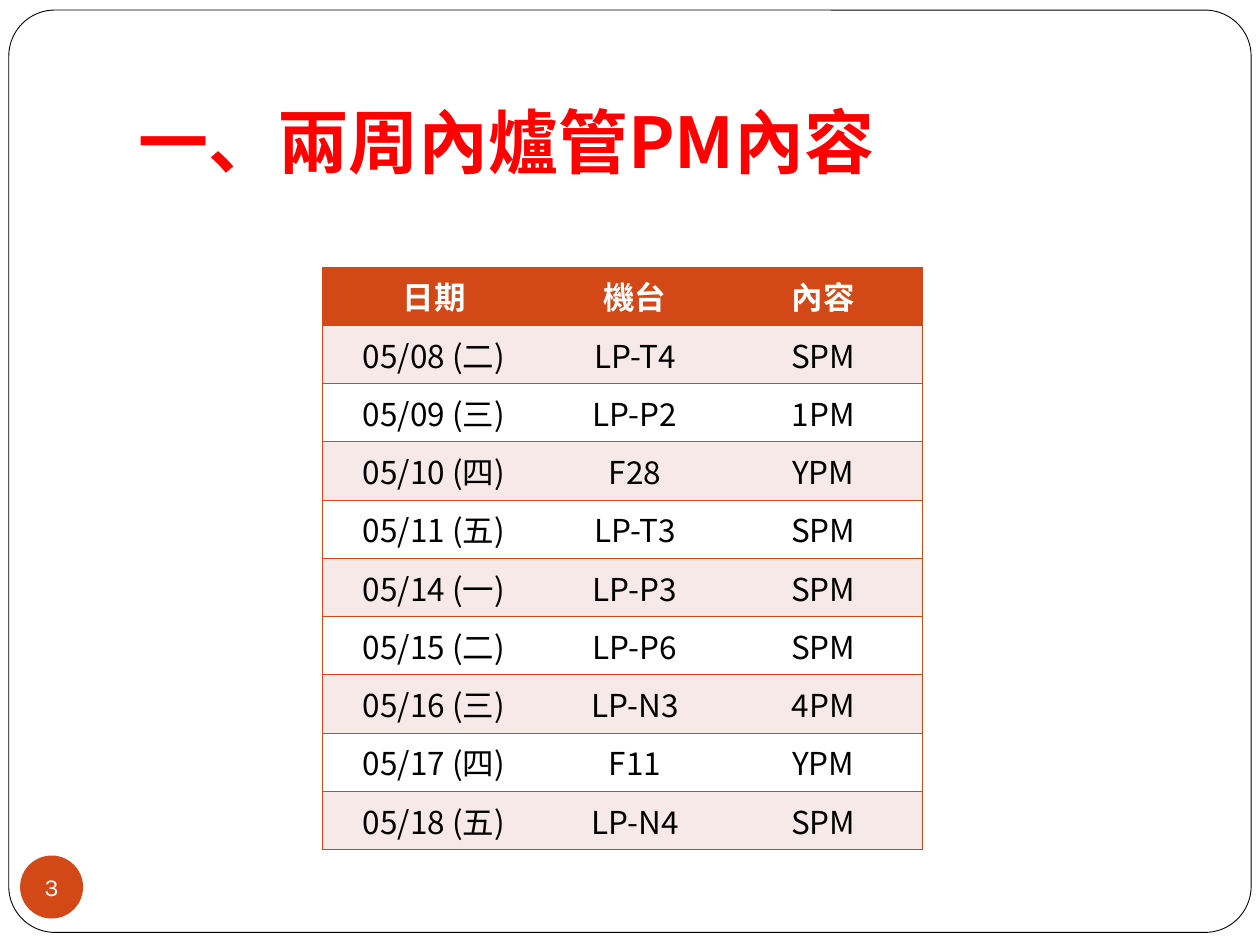
"""Build the furnace-tube PM schedule slide."""
from typing import NamedTuple

import pptx
import pptx.dml.color
import pptx.enum.shapes
import pptx.enum.text
import pptx.oxml.ns
import pptx.util
from lxml import etree

WIDTH, HEIGHT = 10, 7.5
COLORS = {"accent": "D34817", "band": "F7E9E7", "white": "FFFFFF",
          "black": "000000", "title": "FF0000"}
CJK = "Noto Sans CJK SC"
HEADINGS = ("日期", "機台", "內容")
COLUMN_WIDTHS = (1.77, 1.42, 1.57)
TABLE_HEIGHT = 4.06


class Box(NamedTuple):
    left: float
    top: float
    width: float
    height: float

    def emu(self) -> list[int]:
        return [pptx.util.Inches(length) for length in self]


class Style(NamedTuple):
    size: int
    color: str
    bold: bool = False
    font: str = CJK


class Maintenance(NamedTuple):
    date: str
    machine: str
    content: str


SCHEDULE = (
    Maintenance("05/08 (二)", "LP-T4", "SPM"),
    Maintenance("05/09 (三)", "LP-P2", "1PM"),
    Maintenance("05/10 (四)", "F28", "YPM"),
    Maintenance("05/11 (五)", "LP-T3", "SPM"),
    Maintenance("05/14 (一)", "LP-P3", "SPM"),
    Maintenance("05/15 (二)", "LP-P6", "SPM"),
    Maintenance("05/16 (三)", "LP-N3", "4PM"),
    Maintenance("05/17 (四)", "F11", "YPM"),
    Maintenance("05/18 (五)", "LP-N4", "SPM"),
)
HEADING_STYLE = Style(18, "white", bold=True)
BODY_STYLE = Style(18, "black")


def rgb(name: str) -> pptx.dml.color.RGBColor:
    return pptx.dml.color.RGBColor.from_string(COLORS[name])


def write(frame, text: str, style: Style, align: str = "CENTER") -> None:
    paragraph = frame.paragraphs[0]
    paragraph.alignment = pptx.enum.text.PP_ALIGN[align]
    run = paragraph.add_run()
    run.text = text
    run.font.size = pptx.util.Pt(style.size)
    run.font.bold = style.bold
    run.font.color.rgb = rgb(style.color)
    run.font.name = style.font
    east_asian = etree.SubElement(run.font._element, pptx.oxml.ns.qn("a:ea"))
    east_asian.set("typeface", style.font)


def set_margins(frame, left: float, top: float, right: float, bottom: float) -> None:
    frame.margin_left, frame.margin_top, frame.margin_right, frame.margin_bottom = (
        pptx.util.Inches(margin) for margin in (left, top, right, bottom))


def add_panel(slide, kind: str, box: Box, fill: str):
    panel = slide.shapes.add_shape(pptx.enum.shapes.MSO_SHAPE[kind], *box.emu())
    panel.shadow.inherit = False
    panel.fill.solid()
    panel.fill.fore_color.rgb = rgb(fill)
    return panel


def add_frame(slide) -> None:
    frame = add_panel(slide, "ROUNDED_RECTANGLE", Box(0.07, 0.08, 9.86, 7.32), "white")
    frame.adjustments[0] = 0.05
    frame.line.color.rgb = rgb("black")
    frame.line.width = pptx.util.Pt(0.5)
    slide.shapes._spTree.insert(2, frame._element)


def add_title(slide, text: str) -> None:
    title = slide.shapes.title
    title.left, title.top, title.width, title.height = Box(1, 0.3, 8.5, 1.25).emu()
    frame = title.text_frame
    frame.word_wrap = True
    frame.auto_size = pptx.enum.text.MSO_AUTO_SIZE.NONE
    frame.vertical_anchor = pptx.enum.text.MSO_ANCHOR.BOTTOM
    set_margins(frame, 0.1, 0.05, 0.1, 0.1)
    write(frame, text, Style(40, "title", bold=True), "LEFT")


def set_borders(cell, visible: str) -> None:
    properties = cell._tc.get_or_add_tcPr()
    for position, side in enumerate("LRTB"):
        line = etree.Element(pptx.oxml.ns.qn(f"a:ln{side}"))
        if side in visible:
            line.set("w", str(pptx.util.Pt(0.45)))
            fill = etree.SubElement(line, pptx.oxml.ns.qn("a:solidFill"))
            color = etree.SubElement(fill, pptx.oxml.ns.qn("a:srgbClr"))
            color.set("val", COLORS["accent"])
        else:
            etree.SubElement(line, pptx.oxml.ns.qn("a:noFill"))
        properties.insert(position, line)


def add_schedule(slide) -> None:
    rows = (HEADINGS, *SCHEDULE)
    box = Box(2.56, 2.12, sum(COLUMN_WIDTHS), TABLE_HEIGHT)
    schedule = slide.shapes.add_table(len(rows), len(HEADINGS), *box.emu()).table
    for column, width in zip(schedule.columns, COLUMN_WIDTHS):
        column.width = pptx.util.Inches(width)
    for row_index, row in enumerate(rows):
        style = BODY_STYLE if row_index else HEADING_STYLE
        fill = ("band" if row_index % 2 else "white") if row_index else "accent"
        for column_index, text in enumerate(row):
            cell = schedule.cell(row_index, column_index)
            cell.fill.solid()
            cell.fill.fore_color.rgb = rgb(fill)
            set_borders(cell, ("LTB", "TB", "RTB")[column_index])
            write(cell.text_frame, text, style)


def add_page_number(slide, number: str) -> None:
    badge = add_panel(slide, "OVAL", Box(0.16, 6.79, 0.5, 0.5), "accent")
    badge.line.fill.background()
    frame = badge.text_frame
    frame.word_wrap = False
    frame.vertical_anchor = pptx.enum.text.MSO_ANCHOR.MIDDLE
    set_margins(frame, 0, 0, 0, 0)
    write(frame, number, Style(14, "white", font="Karla"))


def main() -> None:
    deck = pptx.Presentation()
    deck.slide_width = pptx.util.Inches(WIDTH)
    deck.slide_height = pptx.util.Inches(HEIGHT)
    slide = deck.slides.add_slide(deck.slide_layouts.get_by_name("Title Only"))
    add_frame(slide)
    add_title(slide, "一、兩周內爐管PM內容")
    add_schedule(slide)
    add_page_number(slide, "3")
    deck.save("out.pptx")


if __name__ == "__main__":
    main()
